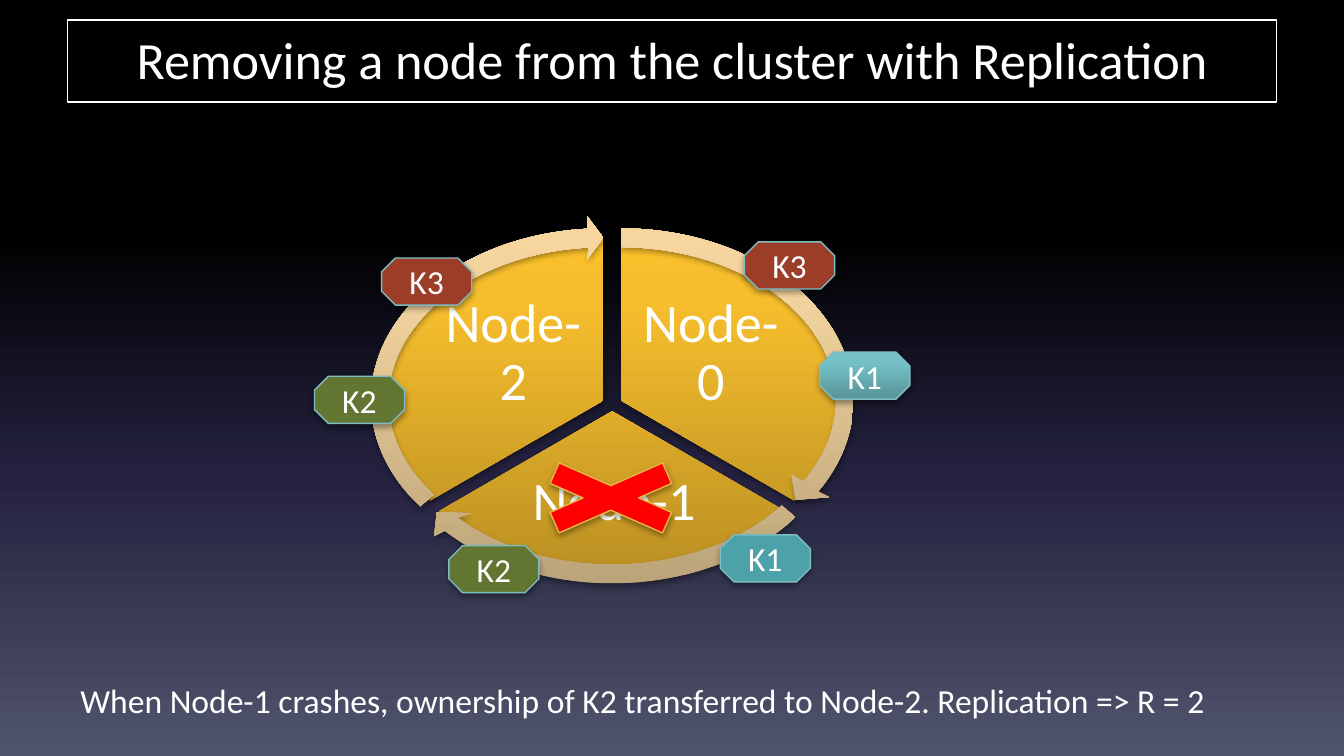
import math

import lxml.etree
import pptx
import pptx.util
from pptx.dml.color import RGBColor
from pptx.enum.shapes import MSO_SHAPE
from pptx.enum.text import MSO_ANCHOR, MSO_AUTO_SIZE, PP_ALIGN
from pptx.oxml.ns import qn

COLUMN = ROW = pptx.util.Inches(0.1)
COLUMNS, ROWS = 100, 56.25

BLACK = RGBColor(0x00, 0x00, 0x00)
WHITE = RGBColor(0xFF, 0xFF, 0xFF)
NIGHT = RGBColor(0x23, 0x21, 0x3E)
SLATE = RGBColor(0x50, 0x54, 0x6C)
RED = RGBColor(0xFF, 0x00, 0x00)
GOLD_EDGE = RGBColor(0xE5, 0xB8, 0x44)
KEY_EDGE = RGBColor(0x7D, 0xBD, 0xC2)
TEAL = RGBColor(0x4D, 0xA2, 0xA9)
GREEN = RGBColor(0x62, 0x75, 0x31)
RUST = RGBColor(0x9C, 0x3D, 0x28)

BACKDROP = [(0, BLACK), (31, BLACK), (62, NIGHT), (100, SLATE)]
GOLD = [(0, RGBColor(0xBB, 0x90, 0x23)), (80, RGBColor(0xF6, 0xBE, 0x2D)),
        (100, RGBColor(0xFA, 0xC0, 0x2B))]
SAND = [(0, RGBColor(0xB9, 0xA2, 0x78)), (80, RGBColor(0xF3, 0xD4, 0x9F)),
        (100, RGBColor(0xF6, 0xD5, 0x9E))]
AQUA = [(0, RGBColor(0x58, 0x94, 0x98)), (80, RGBColor(0x74, 0xC2, 0xC8)),
        (100, RGBColor(0x73, 0xC4, 0xCB))]

PIE_SIZE = (32.5, 24.4)
ARROW_SIZE = (36.5, 27.4)
OUTER_RADII = (17.3, 12.8)
INNER_RADII = (16, 11.4)
KEY_SIZE = (6.7, 3.5)
CURVES = 2

SECTORS = [
    ("Node-0", (46.2, 29.8), (162, 18), (47.1, 22.7, 11.6, 7.3)),
    ("Node-1", (45.55, 30.6), (18, 90), (37, 34.2, 17.4, 6.4)),
    ("Node-2", (44.9, 29.8), (90, 162), (32.4, 22.7, 11.6, 7.3)),
]
ARROWS = [
    ((46.2, 29.8), (-90, 32), [(61.7, 37), (59.2, 37.2), (58.9, 35.3)]),
    ((45.55, 30.6), (38, 136), [(32.3, 39.9), (32.5, 38.1), (35.1, 38.2)]),
    ((44.9, 29.8), (142, 266), [(43.7, 16.1), (44.9, 17.7), (43.7, 19.3)]),
]
KEYS_BELOW_CROSS = [("K1", 61, 26.2, AQUA), ("K2", 33.4, 40.6, GREEN),
                    ("K3", 28.4, 19.2, RUST)]
KEYS_ABOVE_CROSS = [("K1", 53.6, 39.8, TEAL), ("K3", 55.4, 18, RUST),
                    ("K2", 23.4, 28, GREEN)]


def place(left, top, width, height):
    return (round(left * COLUMN), round(top * ROW),
            round(width * COLUMN), round(height * ROW))


def apply(target, values):
    for name, value in values.items():
        setattr(target, name, value)


def paint(owner, fill, colour, angle=90):
    if isinstance(colour, RGBColor):
        fill.solid()
        fill.fore_color.rgb = colour
        return
    fill.gradient()
    fill.gradient_angle = angle
    stops = owner.element.find(".//" + qn("a:gsLst"))
    for stop in list(stops):
        stops.remove(stop)
    for position, shade in colour:
        stop = lxml.etree.SubElement(stops, qn("a:gs"), pos=str(position * 1000))
        lxml.etree.SubElement(stop, qn("a:srgbClr"), val=str(shade))


def cast_shadow(shape):
    shape.shadow.inherit = False
    effects = shape.element.spPr.find(qn("a:effectLst"))
    shadow = lxml.etree.SubElement(
        effects, qn("a:outerShdw"), blurRad="40000", dist="23000",
        dir="5400000", rotWithShape="0")
    colour = lxml.etree.SubElement(shadow, qn("a:srgbClr"), val=str(BLACK))
    lxml.etree.SubElement(colour, qn("a:alpha"), val="35000")


def outline(shape, colour):
    shape.line.color.rgb = colour
    shape.line.width = pptx.util.Pt(0.75)


def finish(shape, colour, edge=None):
    paint(shape, shape.fill, colour)
    if edge is None:
        shape.line.fill.background()
    else:
        outline(shape, edge)
    cast_shadow(shape)


def write(shape, text, size, align=PP_ALIGN.CENTER, anchor=MSO_ANCHOR.MIDDLE,
          inset=(0.1, 0.05), spacing=1.0):
    across, down = (pptx.util.Inches(value) for value in inset)
    frame = shape.text_frame
    apply(frame, {"word_wrap": True, "auto_size": MSO_AUTO_SIZE.NONE,
                  "vertical_anchor": anchor, "margin_left": across,
                  "margin_right": across, "margin_top": down, "margin_bottom": down})
    para = frame.paragraphs[0]
    apply(para, {"alignment": align, "line_spacing": spacing})
    span = para.add_run()
    span.text = text
    apply(span.font, {"name": "Calibri", "size": pptx.util.Pt(size)})
    span.font.color.rgb = WHITE


def add_title(slide, text):
    title = slide.shapes.title
    left, top, width, height = place(5, 1.5, 90, 6.1)
    apply(title, {"left": left, "top": top, "width": width, "height": height})
    outline(title, WHITE)
    write(title, text, 28, anchor=MSO_ANCHOR.TOP)


def around(centre, size):
    return [middle - length / 2 for middle, length in zip(centre, size)]


def add_sector(shapes, name, centre, angles, label_area):
    area = place(*around(centre, PIE_SIZE), *PIE_SIZE)
    sector = shapes.add_shape(MSO_SHAPE.PIE, *area)
    sector.adjustments[0], sector.adjustments[1] = angles
    finish(sector, GOLD)
    label = shapes.add_textbox(*place(*label_area))
    write(label, name, 29, inset=(0.04, 0.04), spacing=0.9)


def arc_curves(centre, radii, start, end):
    step = math.radians(end - start) / CURVES
    reach = 4 / 3 * math.tan(step / 4)

    def point(angle, pull):
        return (centre[0] + radii[0] * (math.cos(angle) - pull * math.sin(angle)),
                centre[1] + radii[1] * (math.sin(angle) + pull * math.cos(angle)))

    angles = [math.radians(start) + step * index for index in range(CURVES + 1)]
    curves = [("cubicBezTo", [point(first, reach), point(last, -reach), point(last, 0)])
              for first, last in zip(angles, angles[1:])]
    return point(angles[0], 0), curves


def add_arrow(shapes, centre, sweep, head):
    start, end = sweep
    corner = around(centre, ARROW_SIZE)
    left, top, width, height = place(*corner, *ARROW_SIZE)
    builder = shapes.build_freeform(left, top)
    builder.add_line_segments([(left + width, top), (left + width, top + height)])
    arrow = builder.convert_to_shape()

    outer_start, outer = arc_curves(centre, OUTER_RADII, start, end)
    inner_start, inner = arc_curves(centre, INNER_RADII, end, start)
    steps = ([("moveTo", [outer_start])] + outer
             + [("lnTo", [point]) for point in head + [inner_start]]
             + inner + [("close", [])])
    track = arrow.element.find(".//" + qn("a:path"))
    for child in list(track):
        track.remove(child)
    for kind, points in steps:
        step = lxml.etree.SubElement(track, qn("a:" + kind))
        for x, y in points:
            lxml.etree.SubElement(step, qn("a:pt"),
                                  x=str(round((x - corner[0]) * COLUMN)),
                                  y=str(round((y - corner[1]) * ROW)))
    finish(arrow, SAND)


def add_key(shapes, name, left, top, colour):
    key = shapes.add_shape(MSO_SHAPE.OCTAGON, *place(left, top, *KEY_SIZE))
    finish(key, colour, KEY_EDGE)
    write(key, name, 18)


def add_cross(shapes):
    cross = shapes.add_shape(MSO_SHAPE.MATH_MULTIPLY, *place(37.4, 33.5, 16.1, 7.1))
    finish(cross, RED, GOLD_EDGE)


def main():
    deck = pptx.Presentation()
    deck.slide_width, deck.slide_height = COLUMNS * COLUMN, round(ROWS * ROW)
    slide = deck.slides.add_slide(deck.slide_layouts[5])
    paint(slide, slide.background.fill, BACKDROP, angle=270)
    add_title(slide, "Removing a node from the cluster with Replication")

    ring = slide.shapes.add_group_shape().shapes
    for sector in SECTORS:
        add_sector(ring, *sector)
    for arrow in ARROWS:
        add_arrow(ring, *arrow)

    for key in KEYS_BELOW_CROSS:
        add_key(slide.shapes, *key)
    add_cross(slide.shapes)
    caption = slide.shapes.add_textbox(*place(5, 50.1, 89, 3))
    write(caption, "When Node-1 crashes, ownership of K2 transferred to Node-2. "
          "Replication => R = 2", 18, PP_ALIGN.LEFT, MSO_ANCHOR.TOP)
    for key in KEYS_ABOVE_CROSS:
        add_key(slide.shapes, *key)
    deck.save("out.pptx")


if __name__ == "__main__":
    main()
